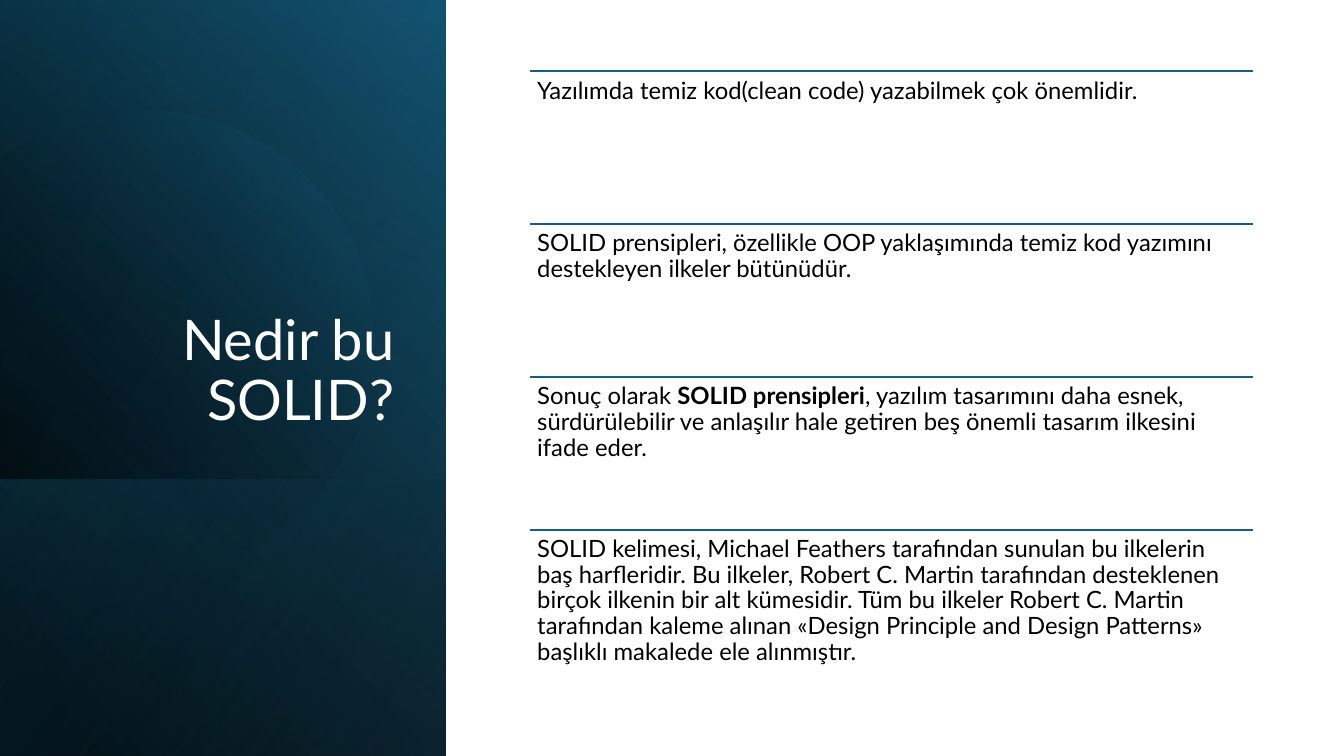
from math import acos, cos, sin

from pptx import Presentation
from pptx.dml.color import RGBColor as Rgb
from pptx.enum.shapes import MSO_CONNECTOR as Connector, MSO_SHAPE as Shape
from pptx.enum.text import MSO_ANCHOR as Anchor, MSO_AUTO_SIZE as AutoSize, PP_ALIGN as Align
from pptx.oxml import parse_xml
from pptx.oxml.ns import nsdecls
from pptx.util import Cm, Pt

TITLE = "Nedir bu SOLID?"
# Each statement is a list of (words, bold) pieces.
STATEMENTS = [
    [("Yazılımda temiz kod(clean code) yazabilmek çok önemlidir.", False)],
    [("SOLID prensipleri, özellikle OOP yaklaşımında temiz kod yazımını "
      "destekleyen ilkeler bütünüdür.", False)],
    [("Sonuç olarak ", False), ("SOLID prensipleri", True),
     (", yazılım tasarımını daha esnek, sürdürülebilir ve anlaşılır hale getiren "
      "beş önemli tasarım ilkesini ifade eder.", False)],
    [("SOLID kelimesi, Michael Feathers tarafından sunulan bu ilkelerin baş harfleridir. "
      "Bu ilkeler, Robert C. Martin tarafından desteklenen birçok ilkenin bir alt kümesidir. "
      "Tüm bu ilkeler Robert C. Martin tarafından kaleme alınan «Design Principle and Design "
      "Patterns» başlıklı makalede ele alınmıştır.", False)],
]

THEME = {
    "font": "Lato",
    "title_size": Pt(40), "body_size": Pt(17), "rule_width": Pt(1.5),
    "light": "FFFFFF", "dark": "000000", "accent": "156082",
    "deep": "104862", "sky": "46B1E1",
}

# Gradients: angle and (position %, theme colour, opacity %) stops.
BASE = (50, [(8, "dark", 100), (100, "deep", 100)])
GLOW = (30, [(0, "dark", 0), (99, "accent", 46)])
LOWER = (130, [(2, "accent", 29), (100, "dark", 30)])
DISC = (46, [(29, "dark", 0), (100, "accent", 43)])
SHEEN = (120, [(0, "dark", 0), (99, "sky", 11)])

SLIDE_W, SLIDE_H = 33.87, 19.05
PANEL_W = 11.23
LOWER_TOP = 12.09
DISC_X, DISC_Y, DISC_R = 3.63, 8.59, 5.82
LIST_LEFT, LIST_TOP, LIST_W, ROW_H = 13.36, 1.8, 18.21, 3.85
INSET = Cm(0.18)


def set_all(target, values):
    for name, value in values.items():
        setattr(target, name, value)


def color(name):
    return Rgb.from_string(THEME[name])


def paint(shape, gradient):
    """Fill with a translucent gradient and drop the outline and shadow."""
    angle, stops = gradient
    stop_xml = "".join(
        f'<a:gs pos="{position * 1000}"><a:srgbClr val="{THEME[name]}">'
        f'<a:alpha val="{opacity * 1000}"/></a:srgbClr></a:gs>'
        for position, name, opacity in stops)
    gradient_fill = parse_xml(
        f'<a:gradFill {nsdecls("a")} rotWithShape="1"><a:gsLst>{stop_xml}</a:gsLst>'
        f'<a:lin ang="{(360 - angle) * 60000}" scaled="0"/></a:gradFill>')
    shape.fill.background()
    properties = shape._element.spPr
    properties.replace(properties.find("{*}noFill"), gradient_fill)
    shape.line.fill.background()
    shape.shadow.inherit = False


def add_panel(shapes, top, gradient):
    """Add a mirrored, quarter-turned rectangle from top to the slide's foot."""
    height = SLIDE_H - top
    left = (PANEL_W - height) / 2
    panel = shapes.add_shape(Shape.RECTANGLE, Cm(left), Cm(top + (height - PANEL_W) / 2),
                             Cm(height), Cm(PANEL_W))
    panel.rotation = 90
    panel._element.spPr.xfrm.set("flipH", "1")
    paint(panel, gradient)


def add_disc(shapes):
    """Add a circle cut off by the slide's left edge."""
    reach = acos(-DISC_X / DISC_R)
    steps = 120
    angles = [reach * (2 * step / steps - 1) for step in range(steps + 1)]
    outline = [(Cm(DISC_X + DISC_R * cos(a)), Cm(DISC_Y + DISC_R * sin(a))) for a in angles]
    builder = shapes.build_freeform(*outline[0])
    builder.add_line_segments(outline[1:], close=True)
    paint(builder.convert_to_shape(), DISC)


def write(paragraph, pieces, size, ink, **layout):
    set_all(paragraph, {"line_spacing": 0.9, **layout})
    for words, bold in pieces:
        run = paragraph.add_run()
        run.text = words
        set_all(run.font, {"name": THEME["font"], "size": THEME[size], "bold": bold})
        run.font.color.rgb = color(ink)


def add_title(shapes):
    title = shapes.title
    set_all(title, {"left": Cm(1.3), "top": Cm(1.63), "width": Cm(8.89), "height": Cm(9.4)})
    set_all(title.text_frame, {"vertical_anchor": Anchor.BOTTOM, "word_wrap": True,
                               "auto_size": AutoSize.NONE})
    write(title.text_frame.paragraphs[0], [(TITLE, False)], "title_size", "light",
          alignment=Align.RIGHT)
    shapes._spTree.append(title._element)


def add_statement(shapes, row, pieces):
    left, top, width = Cm(LIST_LEFT), Cm(LIST_TOP + row * ROW_H), Cm(LIST_W)
    rule = shapes.add_connector(Connector.STRAIGHT, left, top, left + width, top)
    rule.line.color.rgb = color("accent")
    rule.line.width = THEME["rule_width"]
    rule._element.spPr.append(parse_xml(f'<a:effectLst {nsdecls("a")}/>'))
    frame = shapes.add_textbox(left, top, width, Cm(ROW_H)).text_frame
    set_all(frame, {"word_wrap": True, "vertical_anchor": Anchor.TOP,
                    "margin_left": INSET, "margin_right": INSET,
                    "margin_top": INSET, "margin_bottom": INSET})
    write(frame.paragraphs[0], pieces, "body_size", "dark", space_after=Pt(6))


def main():
    deck = Presentation()
    set_all(deck, {"slide_width": Cm(SLIDE_W), "slide_height": Cm(SLIDE_H)})
    slide = deck.slides.add_slide(deck.slide_layouts.get_by_name("Title Only"))
    slide.background.fill.solid()
    slide.background.fill.fore_color.rgb = color("light")
    shapes = slide.shapes
    for top, gradient in [(0, BASE), (0, GLOW), (LOWER_TOP, LOWER)]:
        add_panel(shapes, top, gradient)
    add_disc(shapes)
    add_panel(shapes, 0, SHEEN)
    add_title(shapes)
    for row, pieces in enumerate(STATEMENTS):
        add_statement(shapes, row, pieces)
    deck.save("out.pptx")


if __name__ == "__main__":
    main()
